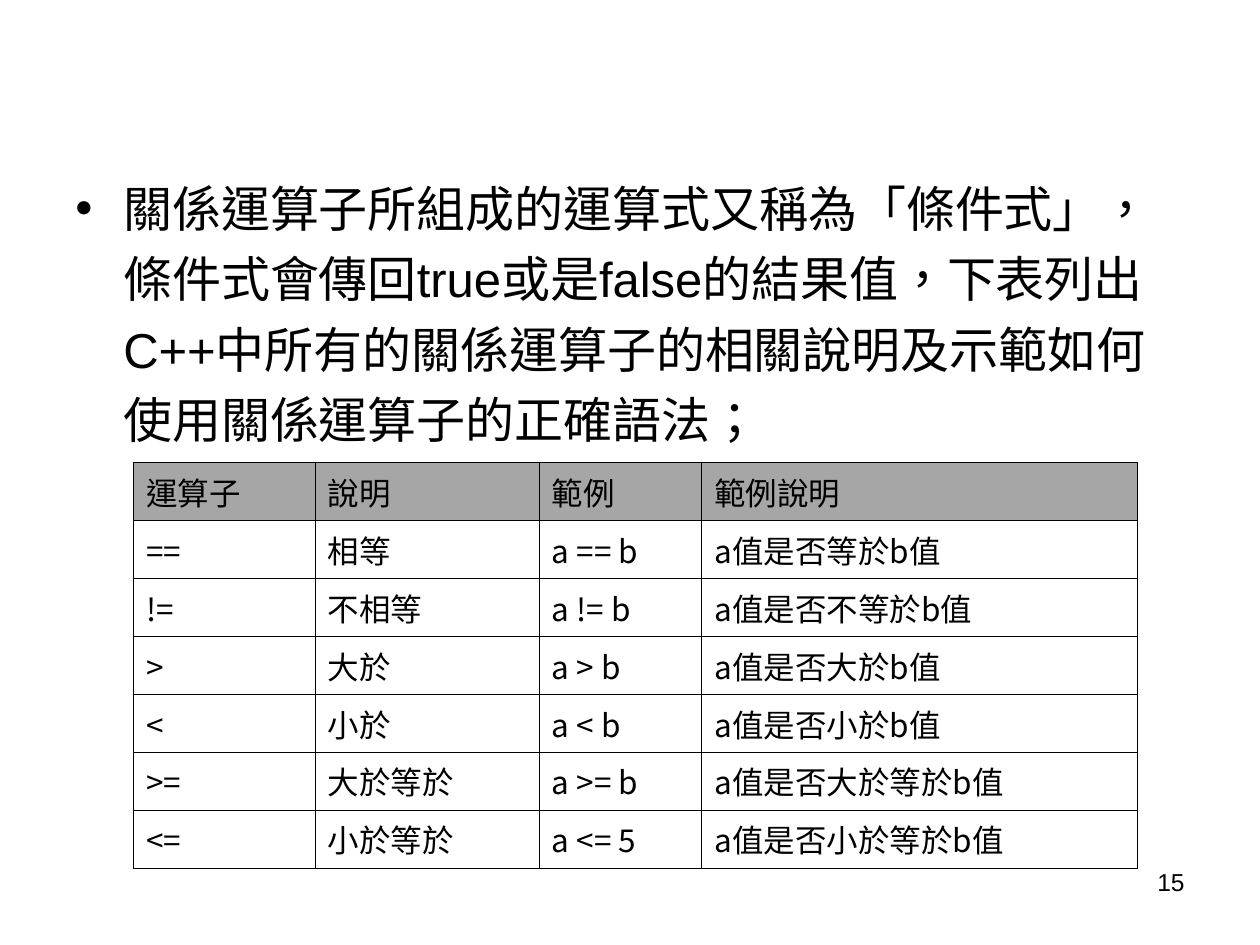
from pptx import Presentation
from pptx.dml.color import RGBColor
from pptx.enum.text import PP_ALIGN as Align
from pptx.oxml.ns import qn
from pptx.util import Inches, Pt
from lxml.etree import SubElement as add_element

BLACK = RGBColor(0x00, 0x00, 0x00)
HEADER_GRAY = RGBColor(0xA6, 0xA6, 0xA6)
LATIN_FONT = "Arial"
TABLE_FONT = "Noto Sans CJK SC"
HANGING = Inches(0.38)

INTRO = ("關係運算子所組成的運算式又稱為「條件式」，條件式會傳回true或是false的結果值，"
         "下表列出C++中所有的關係運算子的相關說明及示範如何使用關係運算子的正確語法；")
OPERATORS = [
    ("運算子", "說明", "範例", "範例說明"),
    ("==", "相等", "a == b", "a值是否等於b值"),
    ("!=", "不相等", "a != b", "a值是否不等於b值"),
    (">", "大於", "a > b", "a值是否大於b值"),
    ("<", "小於", "a < b", "a值是否小於b值"),
    (">=", "大於等於", "a >= b", "a值是否大於等於b值"),
    ("<=", "小於等於", "a <= 5", "a值是否小於等於b值"),
]
COLUMN_WIDTHS = (1.44, 1.78, 1.29, 3.46)
ROW_HEIGHT = 0.46


def write(frame, text, size, font=LATIN_FONT, east_asian=None, align=Align.LEFT,
          spacing=None, hanging=False, bullet=None):
    """Put one formatted paragraph into a text frame."""
    frame.word_wrap = True
    para = frame.paragraphs[0]
    para.alignment = align
    para.line_spacing = spacing
    properties = para._p.get_or_add_pPr()
    if hanging:
        properties.set("marL", str(HANGING))
        properties.set("indent", str(-HANGING))
    if bullet:
        color = add_element(properties, qn("a:buClr"))
        add_element(color, qn("a:srgbClr"), val=str(BLACK))
        add_element(properties, qn("a:buFont"), typeface=LATIN_FONT)
        add_element(properties, qn("a:buChar"), char=bullet)
    span = para.add_run()
    span.text = text
    span.font.size = Pt(size)
    span.font.name = font
    span.font.color.rgb = BLACK
    span_properties = span._r.get_or_add_rPr()
    span_properties.set("lang", "zh-TW")
    if east_asian:
        add_element(span_properties, qn("a:ea"), typeface=east_asian)


def add_borders(cell):
    """Draw a thin black line on all four sides of a cell."""
    properties = cell._tc.get_or_add_tcPr()
    for side in ("lnL", "lnR", "lnT", "lnB"):
        line = add_element(properties, qn(f"a:{side}"), w=str(Pt(0.45)))
        fill = add_element(line, qn("a:solidFill"))
        add_element(fill, qn("a:srgbClr"), val=str(BLACK))


def add_intro(page, left, top, width, height):
    box = page.shapes.add_textbox(left, top, width, height)
    box.text_frame.margin_top = Inches(0.15)
    write(box.text_frame, INTRO, 28, spacing=1.2, hanging=True, bullet="•")


def add_operator_table(page, left, top, width, height):
    table = page.shapes.add_table(len(OPERATORS), len(COLUMN_WIDTHS),
                                  left, top, width, height).table
    table.first_row = table.horz_banding = False
    for column, column_width in zip(table.columns, COLUMN_WIDTHS):
        column.width = Inches(column_width)
    for row_index, values in enumerate(OPERATORS):
        table.rows[row_index].height = Inches(ROW_HEIGHT)
        for column_index, text in enumerate(values):
            cell = table.cell(row_index, column_index)
            write(cell.text_frame, text, 18, font=TABLE_FONT,
                  east_asian=TABLE_FONT, hanging=True)
            add_borders(cell)
            if row_index == 0:
                cell.fill.solid()
                cell.fill.fore_color.rgb = HEADER_GRAY
            else:
                cell.fill.background()


def add_page_number(page, left, top, width, height):
    box = page.shapes.add_textbox(left, top, width, height)
    write(box.text_frame, "15", 14, align=Align.RIGHT)


def main():
    deck = Presentation()
    deck.slide_width, deck.slide_height = Inches(10), Inches(7.5)
    page = deck.slides.add_slide(deck.slide_layouts[6])

    # Bulleted introduction
    add_intro(page, Inches(0.5), Inches(1.17), Inches(8.99), Inches(5.5))
    # Relational operators
    add_operator_table(page, Inches(1.06), Inches(3.67), Inches(sum(COLUMN_WIDTHS)),
                       Inches(ROW_HEIGHT * len(OPERATORS)))
    # Page number
    add_page_number(page, Inches(7.17), Inches(6.83), Inches(2.33), Inches(0.52))

    deck.save("out.pptx")


if __name__ == "__main__":
    main()
